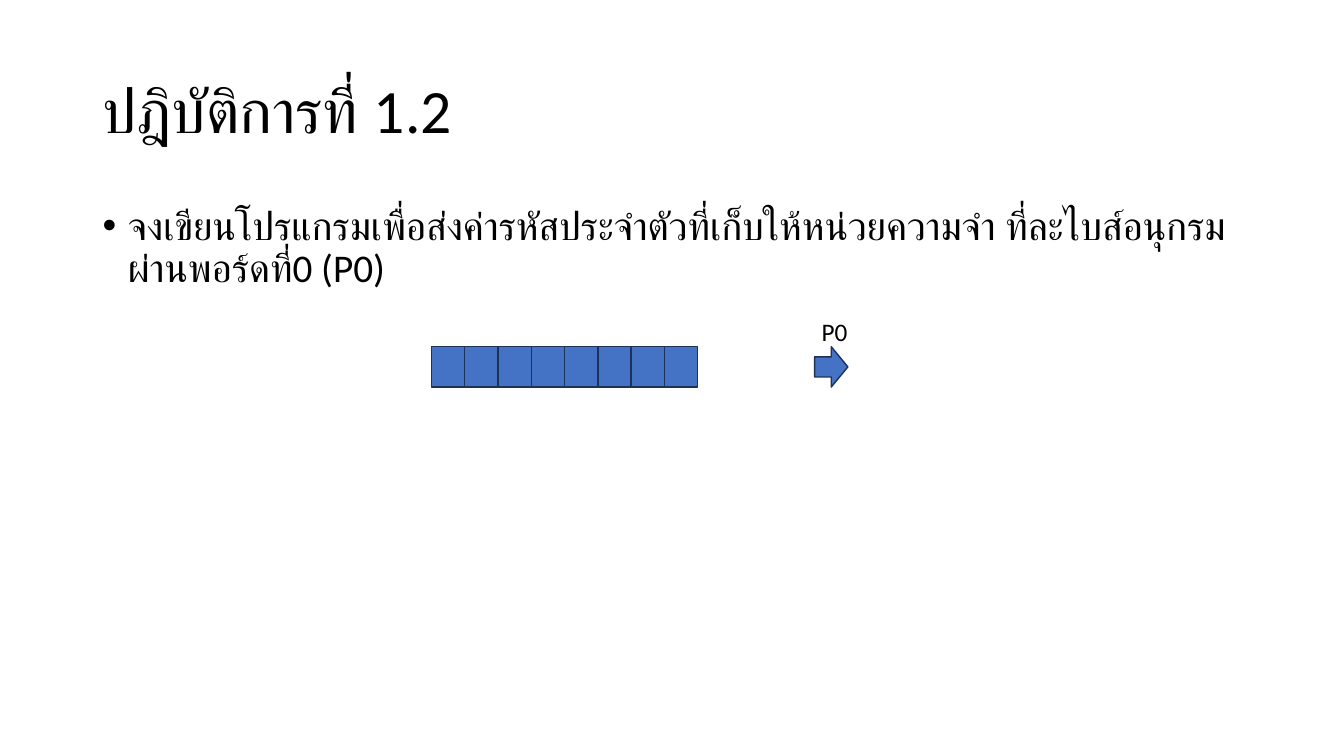
from dataclasses import dataclass

from lxml import etree
from pptx import Presentation
from pptx import util as u
from pptx.dml.color import RGBColor
from pptx.enum import shapes, text
from pptx.oxml import ns


@dataclass(frozen=True)
class Theme:
    font: str = "Calibri"
    ink: str = "000000"
    fill: str = "4472C4"
    edge: str = "1E3256"
    head: int = 44
    body: int = 28
    note: int = 18


THEME = Theme()


def write(shape, words, size, anchor=text.MSO_ANCHOR.TOP, lead=1.0, bullet=None):
    frame = shape.text_frame
    frame.word_wrap = True
    frame.auto_size = text.MSO_AUTO_SIZE.NONE
    frame.vertical_anchor = anchor
    para = frame.paragraphs[0]
    para.alignment = text.PP_ALIGN.LEFT
    para.line_spacing = lead
    if bullet:
        props = para._p.get_or_add_pPr()
        props.set("marL", str(u.Inches(0.25)))
        props.set("indent", str(-u.Inches(0.25)))
        face = etree.SubElement(props, ns.qn("a:buFont"))
        face.set("typeface", "Arial")
        mark = etree.SubElement(props, ns.qn("a:buChar"))
        mark.set("char", bullet)
    run = para.add_run()
    run.text = words
    run.font.name = THEME.font
    run.font.size = u.Pt(size)
    run.font.color.rgb = RGBColor.from_string(THEME.ink)


def place(slide, kind, left, top, width, height):
    shape = slide.shapes.add_shape(
        kind, u.Inches(left), u.Inches(top), u.Inches(width), u.Inches(height))
    shape.shadow.inherit = False
    shape.fill.solid()
    shape.fill.fore_color.rgb = RGBColor.from_string(THEME.fill)
    shape.line.color.rgb = RGBColor.from_string(THEME.edge)
    shape.line.width = u.Pt(1)


def add_text(slide, box, words, **style):
    shape = slide.shapes.add_textbox(*map(u.Inches, box))
    write(shape, words, **style)


def add_title(slide, box, words):
    title = slide.shapes.title
    title.left, title.top, title.width, title.height = map(u.Inches, box)
    write(title, words, THEME.head, anchor=text.MSO_ANCHOR.MIDDLE, lead=0.9)


def add_bits(slide, box, count):
    left, top, width, height = box
    cell = width / count
    for bit in range(count):
        place(slide, shapes.MSO_SHAPE.RECTANGLE, left + bit * cell, top, cell, height)


def add_port(slide, box, label):
    left, top, width, height = box
    place(slide, shapes.MSO_SHAPE.RIGHT_ARROW, left, top, width, height)
    add_text(slide, (left - 0.03, top - 0.35, 0.62, 0.4), label, size=THEME.note)


def main():
    deck = Presentation()
    deck.slide_width = u.Inches(13.33)
    deck.slide_height = u.Inches(7.5)
    slide = deck.slides.add_slide(deck.slide_layouts[5])
    add_title(slide, (0.92, 0.4, 11.5, 1.45), "ปฎิบัติการที่ 1.2")
    add_text(
        slide, (0.92, 2, 11.5, 4.76),
        "จงเขียนโปรแกรมเพื่อส่งค่ารหัสประจำตัวที่เก็บให้หน่วยความจำ "
        "ที่ละไบส์อนุกรมผ่านพอร์ดที่0 (P0)",
        size=THEME.body, lead=0.9, bullet="•")
    add_bits(slide, (4.28, 3.44, 2.64, 0.4), 8)
    add_port(slide, (8.08, 3.44, 0.33, 0.4), "P0")
    deck.save("out.pptx")


if __name__ == "__main__":
    main()
